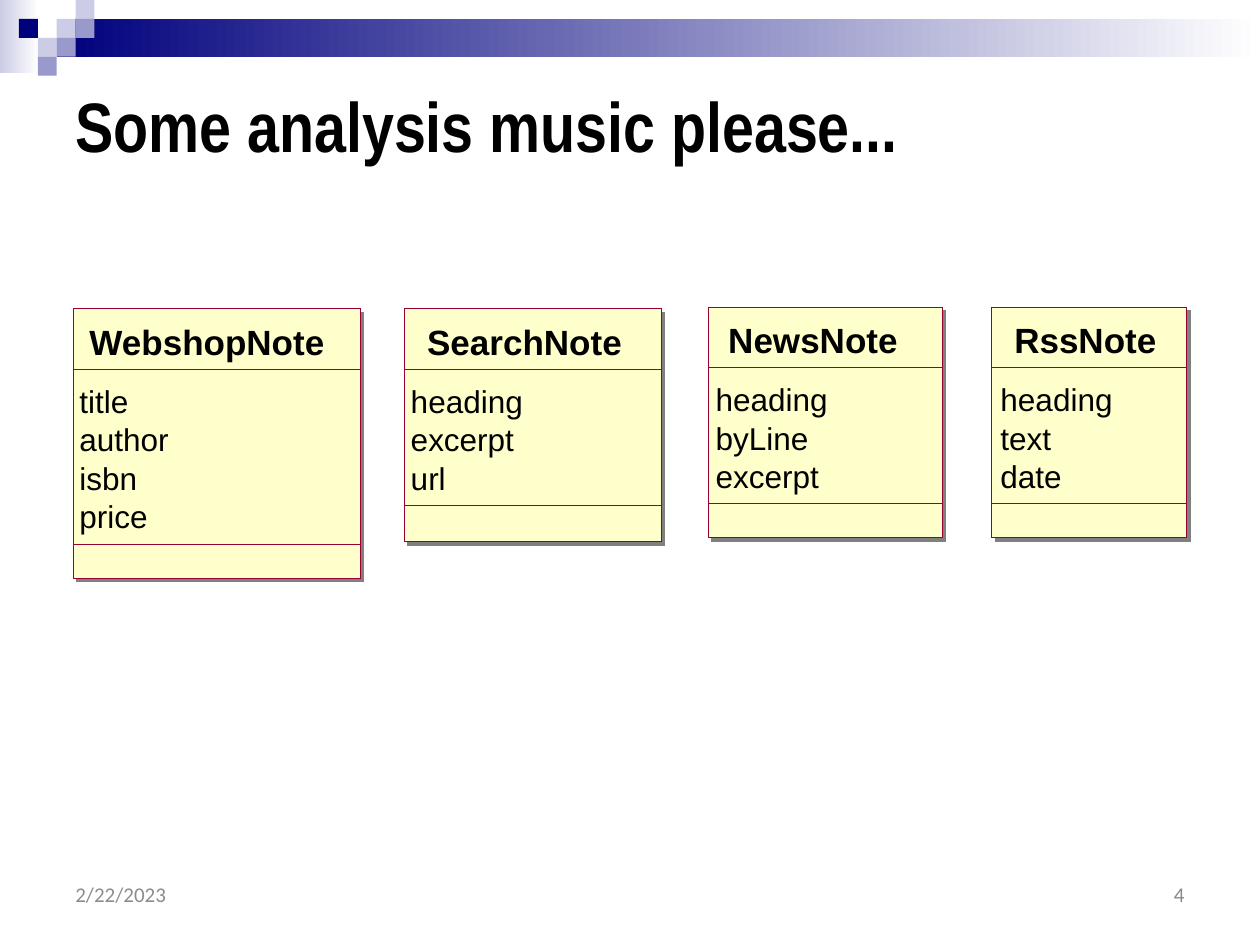
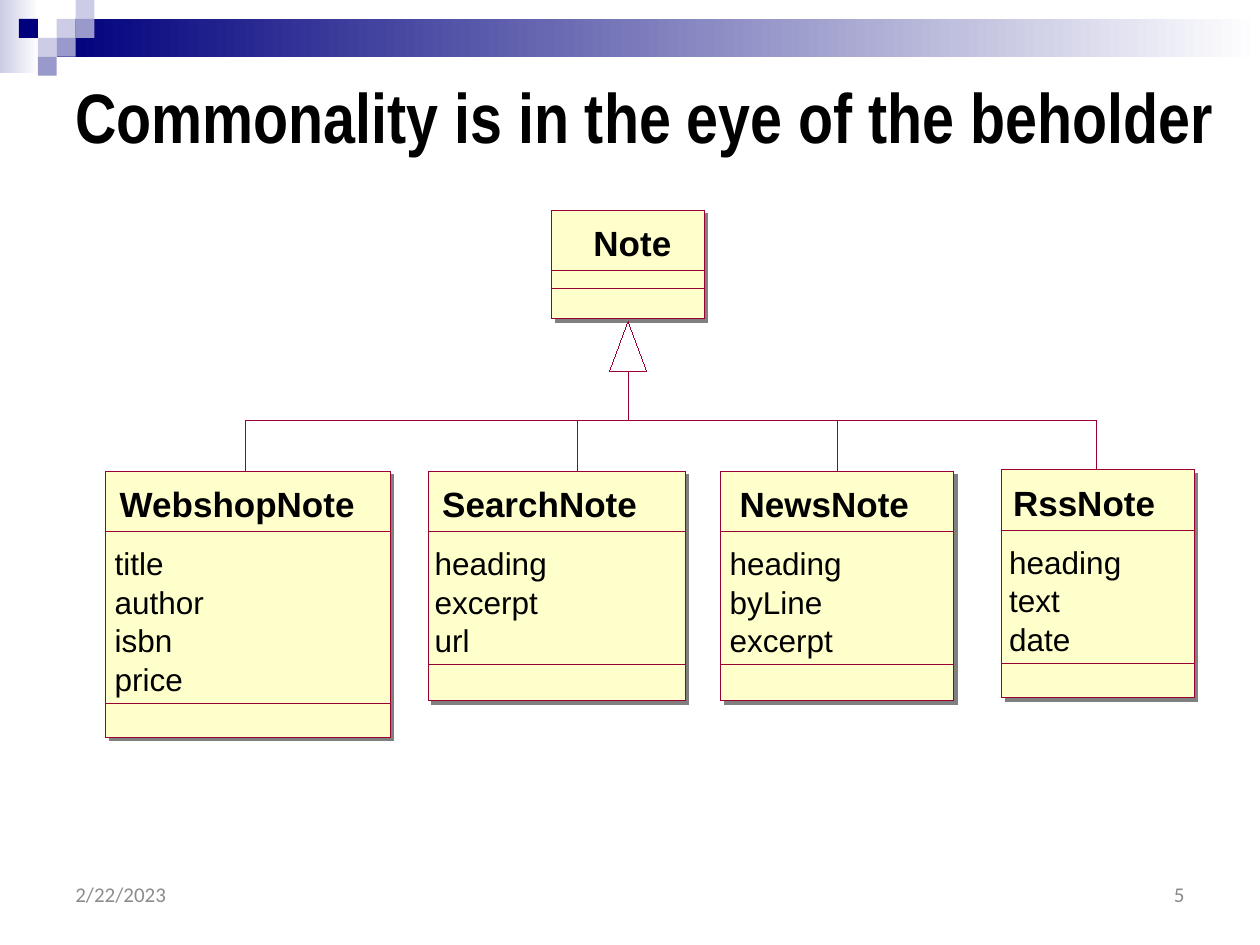
from collections import namedtuple
from dataclasses import dataclass

from lxml import etree
from pptx import Presentation
from pptx.dml.color import RGBColor
from pptx.enum import shapes, text
from pptx.oxml import ns
from pptx.util import Inches, Pt

Box = namedtuple("Box", "x y w h")
ClassNote = namedtuple("ClassNote", "name fields box name_dx field_dx ops_h")


@dataclass(frozen=True)
class Theme:
    navy: str = "00007D"
    mid: str = "9999CC"
    light: str = "CCCCE6"
    white: str = "FFFFFF"
    ink: str = "000000"
    date: str = "8C8C8C"
    number: str = "898989"
    note: str = "FFFFCC"
    outline: str = "990033"
    shadow: str = "808080"
    title_font: str = "Arial Narrow"
    body_font: str = "Arial"
    footer_font: str = "Calibri"
    title_size: int = 40
    name_size: int = 20
    field_size: int = 18
    footer_size: int = 12


T = Theme()
TILE = 0.15
HEAD_H = 0.48
FIELD_STEP = 0.305
BOOK = ["title", "author", "isbn", "price"]
SEARCH = ["heading", "excerpt", "url"]
NEWS = ["heading", "byLine", "excerpt"]
RSS = ["heading", "text", "date"]


def rgb(color):
    return RGBColor.from_string(color)


def inches(*values):
    return [Inches(v) for v in values]


def add_text(slide, box, words, size, font=T.body_font, color=T.ink, bold=False,
             align=text.PP_ALIGN.LEFT, anchor=text.MSO_ANCHOR.TOP, inset=(0, 0)):
    tf = slide.shapes.add_textbox(*inches(*box)).text_frame
    tf.word_wrap = True
    tf.vertical_anchor = anchor
    tf.margin_left = tf.margin_right = Inches(inset[0])
    tf.margin_top = tf.margin_bottom = Inches(inset[1])
    p = tf.paragraphs[0]
    p.alignment = align
    r = p.add_run()
    r.text = words
    r.font.name, r.font.size, r.font.bold = font, Pt(size), bold
    r.font.color.rgb = rgb(color)


def style_line(sp):
    sp.line.color.rgb = rgb(T.outline)
    sp._element.spPr.find(ns.qn("a:ln")).set("w", "0")


def style_shape(sp, fill=None, outlined=False):
    sp.shadow.inherit = False
    if fill:
        sp.fill.solid()
        sp.fill.fore_color.rgb = rgb(fill)
    else:
        sp.fill.background()
    if outlined:
        style_line(sp)
    else:
        sp.line.fill.background()


def add_rect(slide, box, fill=None, outlined=False):
    sp = slide.shapes.add_shape(shapes.MSO_SHAPE.RECTANGLE, *inches(*box))
    style_shape(sp, fill, outlined)
    return sp


def add_fade(slide, box, start):
    sp = add_rect(slide, box)
    sp.fill.gradient()
    sp.fill.gradient_angle = 0
    for stop, color in zip(sp.fill.gradient_stops, (start, T.white)):
        stop.color.rgb = rgb(color)


def add_drop_shadow(sp):
    effects = sp._element.spPr.find(ns.qn("a:effectLst"))
    shadow = etree.SubElement(effects, ns.qn("a:outerShdw"), blurRad="0",
                              dist=str(Pt(2.8)), dir="2700000", algn="ctr", rotWithShape="0")
    etree.SubElement(shadow, ns.qn("a:srgbClr"), val=T.shadow)


def add_line(slide, x1, y1, x2, y2):
    cx = slide.shapes.add_connector(shapes.MSO_CONNECTOR.STRAIGHT, *inches(x1, y1, x2, y2))
    style_line(cx)
    etree.SubElement(cx._element.spPr, ns.qn("a:effectLst"))


def header_band(slide, box):
    add_fade(slide, Box(box.x, box.y, 0.31, 0.58), T.light)
    left = box.x + 3 * TILE
    add_fade(slide, Box(left, box.y + TILE, box.w - 3 * TILE, 2 * TILE), T.navy)
    tiles = [(3, 1, T.light), (4, 0, T.light), (4, 1, T.mid), (2, 2, T.light),
             (1, 1, T.navy), (3, 2, T.mid), (2, 3, T.mid)]
    for col, row, color in tiles:
        add_rect(slide, Box(box.x + col * TILE, box.y + row * TILE, TILE, TILE), color)


def footer(slide, box, date, number):
    cell_w = 2.33
    style = dict(size=T.footer_size, font=T.footer_font,
                 anchor=text.MSO_ANCHOR.MIDDLE, inset=(0.1, 0.05))
    add_text(slide, box._replace(w=cell_w), date, color=T.date, **style)
    add_text(slide, box._replace(x=box.x + box.w - cell_w, w=cell_w), str(number),
             color=T.number, align=text.PP_ALIGN.RIGHT, **style)


def class_box(slide, note):
    x, y, w, h = note.box
    add_drop_shadow(add_rect(slide, note.box, T.note, outlined=True))
    add_text(slide, Box(x + note.name_dx, y + 0.09, w - note.name_dx, 0.34), note.name,
             T.name_size, bold=True)
    for part_h in (h - HEAD_H, note.ops_h):
        add_rect(slide, Box(x, y + h - part_h, w, part_h), outlined=True)
    for i, field in enumerate(note.fields):
        field_y = y + 0.58 + i * FIELD_STEP
        add_text(slide, Box(x + note.field_dx, field_y, w - note.field_dx, 0.3), field,
                 T.field_size)


def inheritance_tree(slide, parent, children, drops):
    x, y, w, h = parent.box
    center, tip, bar = x + w / 2, y + h + 0.02, 3.34
    add_line(slide, center, bar, center, tip)
    add_line(slide, drops[0], bar, drops[-1], bar)
    fb = slide.shapes.build_freeform(Inches(center), Inches(tip), scale=1)
    base = tip + 0.4
    fb.add_line_segments([inches(center + 0.15, base), inches(center - 0.15, base)], close=True)
    style_shape(fb.convert_to_shape(), T.white, outlined=True)
    for drop, child in zip(drops, children):
        add_line(slide, drop, child.box.y, drop, bar)


def class_slide(prs, title, title_box, number, notes):
    slide = prs.slides.add_slide(prs.slide_layouts[6])
    header_band(slide, Box(0, 0, 10, 0.6))
    add_text(slide, title_box, title, T.title_size, T.title_font, bold=True,
             anchor=text.MSO_ANCHOR.MIDDLE, inset=(0.1, 0.05))
    footer(slide, Box(0.5, 6.92, 9, 0.35), "2/22/2023", number)
    for note in notes:
        class_box(slide, note)
    return slide


def main():
    prs = Presentation()
    prs.slide_width, prs.slide_height = inches(10, 7.5)

    class_slide(prs, "Some analysis music please...", Box(0.5, 0.46, 9, 1.05), 4, [
        ClassNote("WebshopNote", BOOK, Box(0.58, 2.45, 2.28, 2.14), 0.13, 0.05, 0.27),
        ClassNote("SearchNote", SEARCH, Box(3.21, 2.45, 2.04, 1.85), 0.18, 0.05, 0.29),
        ClassNote("NewsNote", NEWS, Box(5.62, 2.44, 1.86, 1.83), 0.16, 0.06, 0.27),
        ClassNote("RssNote", RSS, Box(7.87, 2.44, 1.55, 1.83), 0.18, 0.07, 0.27),
    ])

    children = [
        ClassNote("WebshopNote", BOOK, Box(0.84, 3.74, 2.26, 2.11), 0.11, 0.07, 0.27),
        ClassNote("SearchNote", SEARCH, Box(3.4, 3.74, 2.04, 1.82), 0.11, 0.05, 0.29),
        ClassNote("NewsNote", NEWS, Box(5.72, 3.74, 1.85, 1.82), 0.15, 0.07, 0.29),
        ClassNote("RssNote", RSS, Box(7.95, 3.73, 1.53, 1.81), 0.09, 0.06, 0.27),
    ]
    parent = ClassNote("Note", [], Box(4.38, 1.67, 1.21, 0.86), 0.33, 0, 0.24)
    slide = class_slide(prs, "Commonality is in the eye of the beholder",
                        Box(0.5, 0.5, 9.33, 0.83), 5, children + [parent])
    inheritance_tree(slide, parent, children, [1.95, 4.58, 6.65, 8.7])

    prs.save("out.pptx")


if __name__ == "__main__":
    main()
